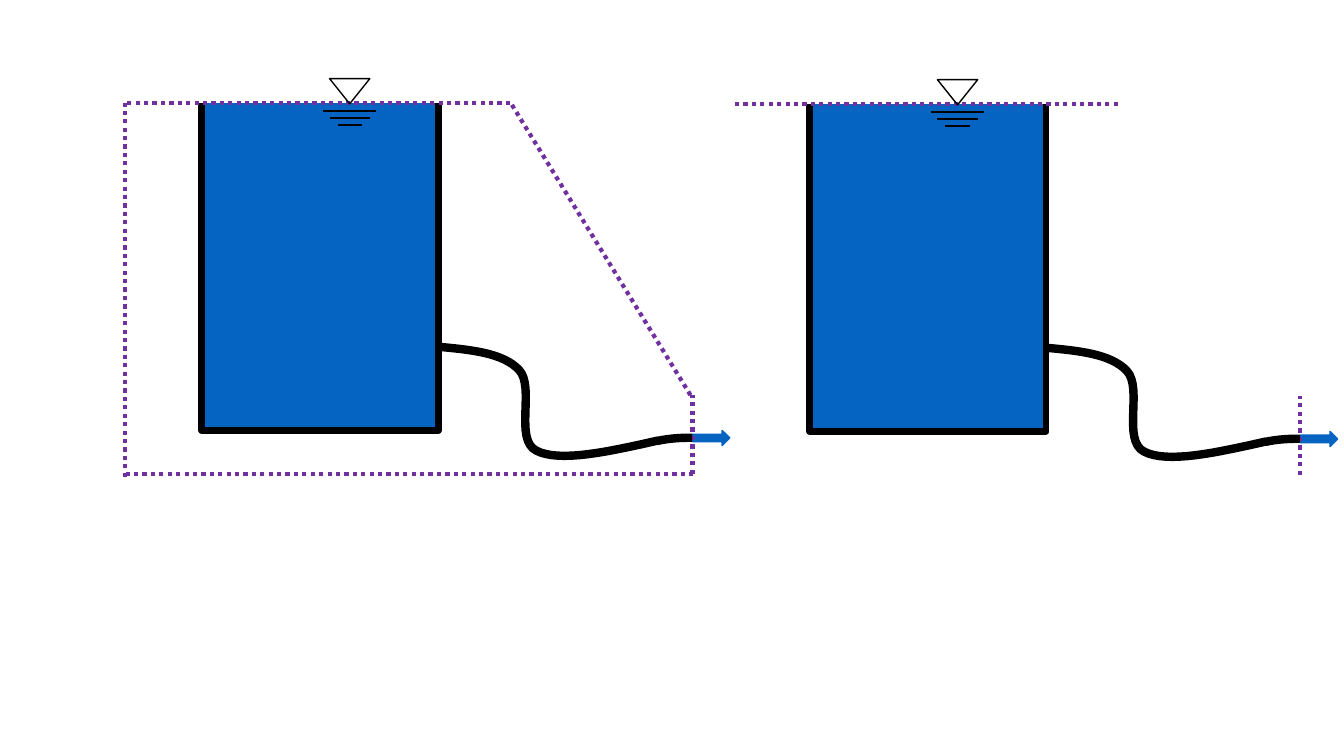
from typing import NamedTuple

from lxml import etree
from pptx import Presentation
from pptx.dml.color import RGBColor
from pptx.enum import dml, shapes
from pptx.oxml import ns
from pptx.util import Pt

WATER, BLACK, PURPLE = "0563C1", "000000", "7030A0"
CURVE_STEPS = 16


class Point(NamedTuple):
    x: float
    y: float


class Line(NamedTuple):
    start: Point
    end: Point


# Geometry of the left apparatus, in points
TANK = [Point(144, 73.44), Point(144, 307.44), Point(313.2, 307.44), Point(313.2, 73.44)]
HOSE_START = Point(313.2, 247.68)
HOSE_CURVES = [
    (Point(336.24, 249.84), Point(359.28, 252), Point(370.8, 264.24)),
    (Point(382.32, 276.48), Point(367.2, 313.92), Point(383.04, 321.84)),
    (Point(399.6, 330.48), Point(434.88, 322.56), Point(470.16, 314.64)),
]
SURFACE_X = 249.8
SURFACE_MARKS = [(79.2, 37.8), (84.24, 28.8), (89.28, 17.28)]  # y, width
SECTIONS = [
    Line(Point(364.32, 73.44), Point(90, 73.44)),
    Line(Point(494.64, 338.4), Point(494.64, 282.24)),
]
CLOSING_SIDES = [
    Line(Point(495.36, 338.4), Point(90, 338.4)),
    Line(Point(89.28, 340.56), Point(89.28, 73.44)),
    Line(Point(493.2, 282.24), Point(364.32, 72.72)),
]


class Apparatus(NamedTuple):
    dx: float
    dy: float
    boundary: list[Line]


APPARATUSES = [
    Apparatus(0, 0, SECTIONS + CLOSING_SIDES),
    Apparatus(434.16, 0.72, SECTIONS),
]


def color(value: str) -> RGBColor:
    return RGBColor.from_string(value)


def style(sp, line: str, width: float, fill: str = "") -> None:
    sp.shadow.inherit = False
    if fill:
        sp.fill.solid()
        sp.fill.fore_color.rgb = color(fill)
    else:
        sp.fill.background()
    sp.line.color.rgb = color(line)
    sp.line.width = Pt(width)


def add_outline(group, a: Apparatus, points: list[Point], width: float, fill: str = "") -> None:
    emu = [(Pt(p.x + a.dx), Pt(p.y + a.dy)) for p in points]
    builder = group.shapes.build_freeform(*emu[0])
    builder.add_line_segments(emu[1:], close=False)
    style(builder.convert_to_shape(), BLACK, width, fill)


def add_preset(group, a: Apparatus, kind: shapes.MSO_SHAPE, x: float, y: float, w: float, h: float):
    return group.shapes.add_shape(kind, Pt(x + a.dx), Pt(y + a.dy), Pt(w), Pt(h))


def add_line(group, a: Apparatus, line: Line, line_color: str, width: float, dotted: bool = False) -> None:
    (x1, y1), (x2, y2) = line
    sp = group.shapes.add_connector(
        shapes.MSO_CONNECTOR.STRAIGHT,
        Pt(x1 + a.dx), Pt(y1 + a.dy), Pt(x2 + a.dx), Pt(y2 + a.dy))
    sp.line.color.rgb = color(line_color)
    sp.line.width = Pt(width)
    if dotted:
        sp.line.dash_style = dml.MSO_LINE.ROUND_DOT
    etree.SubElement(sp.element.spPr, ns.qn("a:effectLst"))


def hose_points() -> list[Point]:
    points = [HOSE_START]
    for c1, c2, end in HOSE_CURVES:
        start = points[-1]
        for i in range(1, CURVE_STEPS + 1):
            t = i / CURVE_STEPS
            weights = ((1 - t) ** 3, 3 * t * (1 - t) ** 2, 3 * t * t * (1 - t), t ** 3)
            points.append(Point(*(sum(w * v for w, v in zip(weights, axis))
                                  for axis in zip(start, c1, c2, end))))
    return points


def add_apparatus(s, a: Apparatus) -> None:
    group = s.shapes.add_group_shape()

    # Tank and hose
    add_outline(group, a, TANK, 4.5, WATER)
    add_outline(group, a, hose_points(), 6)

    # Outflow arrow
    arrow = add_preset(group, a, shapes.MSO_SHAPE.RIGHT_ARROW, 494.64, 307.44, 26.64, 10.8)
    style(arrow, WATER, 1, WATER)

    # Control volume boundary
    for side in a.boundary:
        add_line(group, a, side, PURPLE, 3, dotted=True)

    # Hose end
    hose_end = add_preset(group, a, shapes.MSO_SHAPE.ARC, 459.36, 312.72, 66.24, 16.56)
    hose_end.adjustments[0] = 116.917
    hose_end.adjustments[1] = 169.95
    style(hose_end, BLACK, 6)

    # Free surface symbol
    triangle = add_preset(group, a, shapes.MSO_SHAPE.ISOSCELES_TRIANGLE, SURFACE_X - 14.4, 56.16, 28.8, 18)
    triangle.rotation = 180
    style(triangle, BLACK, 1)
    for y, width in SURFACE_MARKS:
        mark = Line(Point(SURFACE_X - width / 2, y), Point(SURFACE_X + width / 2, y))
        add_line(group, a, mark, BLACK, 1)


def main() -> None:
    prs = Presentation()
    prs.slide_width, prs.slide_height = Pt(960), Pt(540)
    s = prs.slides.add_slide(prs.slide_layouts[6])
    for apparatus in APPARATUSES:
        add_apparatus(s, apparatus)
    prs.save("out.pptx")


if __name__ == "__main__":
    main()
